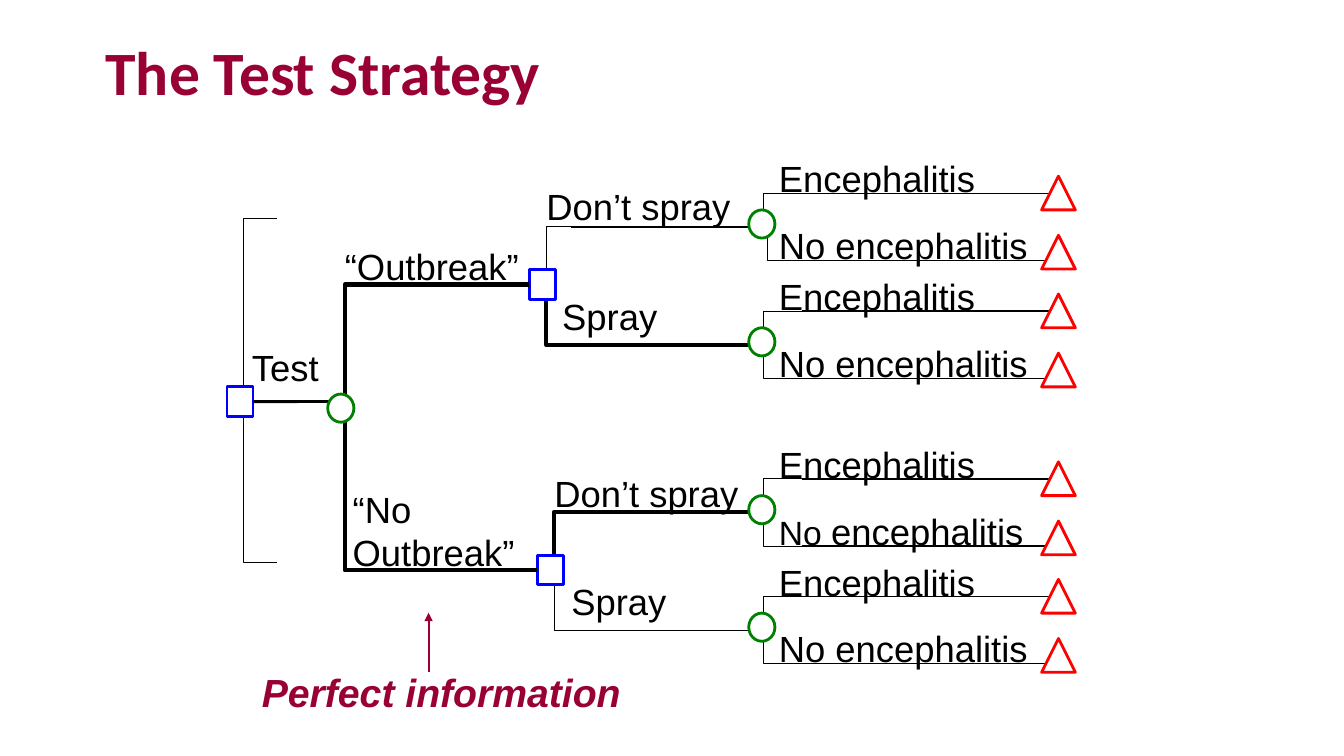
"""Build the decision tree slide for the test strategy."""
from dataclasses import dataclass

from lxml import etree
from pptx import Presentation
from pptx.dml.color import RGBColor
from pptx.enum.shapes import MSO_CONNECTOR, MSO_SHAPE
from pptx.enum.text import MSO_ANCHOR, PP_ALIGN
from pptx.oxml.ns import qn
from pptx.util import Cm, Pt

STRAIGHT = MSO_CONNECTOR.STRAIGHT
RECTANGLE, OVAL = MSO_SHAPE.RECTANGLE, MSO_SHAPE.OVAL
TRIANGLE = MSO_SHAPE.ISOSCELES_TRIANGLE
TOP, MIDDLE = MSO_ANCHOR.TOP, MSO_ANCHOR.MIDDLE
LEFT, CENTER = PP_ALIGN.LEFT, PP_ALIGN.CENTER
LEFT_SIDE, RIGHT_SIDE = 1, 3


@dataclass(frozen=True)
class Theme:
    """Colours, fonts and type sizes of the slide."""
    ink: RGBColor = RGBColor(0x00, 0x00, 0x00)
    paper: RGBColor = RGBColor(0xFF, 0xFF, 0xFF)
    accent: RGBColor = RGBColor(0x99, 0x00, 0x33)
    decision: RGBColor = RGBColor(0x00, 0x00, 0xFF)
    chance: RGBColor = RGBColor(0x00, 0x80, 0x00)
    outcome: RGBColor = RGBColor(0xFF, 0x00, 0x00)
    title_font: str = "Calibri"
    body_font: str = "Arial"
    title_size: float = 44
    note_size: float = 28
    label_size: float = 26
    small_size: float = 24
    thick: float = 3
    thin: float = 1
    hairline: float = 0
    outline: float = 2
    arrow: float = 1.5


THEME = Theme()


@dataclass(frozen=True)
class Label:
    """A text box, with one paragraph per line of text."""
    text: str
    x: float
    y: float
    w: float
    h: float = 1.1
    inset: bool = False
    size: float = THEME.label_size
    font: str = THEME.body_font
    color: RGBColor = THEME.ink
    bold: bool = False
    italic: bool = False
    align: PP_ALIGN = LEFT
    anchor: MSO_ANCHOR = TOP
    spacing: float = 1.0


@dataclass(frozen=True)
class Elbow:
    """A branch that runs vertically and then turns right."""
    x: float
    y: float
    turn_y: float
    end_x: float
    width: float = THEME.hairline


@dataclass(frozen=True)
class Node:
    """A marker of the tree."""
    kind: MSO_SHAPE
    x: float
    y: float
    w: float
    h: float
    color: RGBColor


@dataclass(frozen=True)
class Infection:
    """A chance node with its two outcomes."""
    y: float
    lower_x: float = 19.25
    no_size: float = THEME.label_size


LABELS = (
    Label("The Test Strategy", 2.41, 0.84, 25.96, 2.11, inset=True, size=THEME.title_size,
          font=THEME.title_font, color=THEME.accent, bold=True, anchor=MIDDLE, spacing=0.9),
    Label("Test", 6.35, 8.69, 1.9),
    Label("“Outbreak”", 8.69, 6.15, 4.75),
    Label("“No\nOutbreak”", 8.89, 12.27, 6.35, 2.2),
    Label("Don’t spray", 13.77, 4.65, 5.28),
    Label("Spray", 14.17, 7.42, 3.38),
    Label("Don’t spray", 13.97, 11.86, 4.88),
    Label("Spray", 14.4, 14.6, 2.97),
    Label("Perfect information", 5.72, 16.71, 10.8, 1.45, inset=True, size=THEME.note_size,
          color=THEME.accent, bold=True, italic=True, align=CENTER),
)
ELBOWS = (
    Elbow(6.13, 10.77, 5.51, 6.98),
    Elbow(6.13, 9.88, 14.17, 6.98),
    Elbow(8.69, 9.93, 7.17, 9.45, THEME.thick),
    Elbow(8.69, 9.73, 14.37, 9.7, THEME.thick),
    Elbow(13.77, 7.16, 5.72, 14.66),
    Elbow(13.77, 7.42, 8.69, 18.87, THEME.thick),
    Elbow(13.97, 14.35, 12.9, 14.88, THEME.thick),
    Elbow(13.97, 14.6, 15.88, 19.08),
)
INFECTIONS = (Infection(5.29, lower_x=19.35), Infection(8.26),
              Infection(12.49, no_size=THEME.small_size), Infection(15.45))


def add_label(slide, label: Label):
    """Add a text box and return it."""
    sp = slide.shapes.add_textbox(Cm(label.x), Cm(label.y), Cm(label.w), Cm(label.h))
    tf = sp.text_frame
    tf.word_wrap = True
    tf.vertical_anchor = label.anchor
    if not label.inset:
        tf.margin_left = tf.margin_top = tf.margin_right = tf.margin_bottom = 0
    tf.text = label.text
    for p in tf.paragraphs:
        p.alignment = label.align
        p.line_spacing = label.spacing
        p.font.name = label.font
        p.font.size = Pt(label.size)
        p.font.bold = label.bold
        p.font.italic = label.italic
        p.font.color.rgb = label.color
    return sp


def add_elbow(slide, elbow: Elbow) -> None:
    """Add an open branch with one corner."""
    builder = slide.shapes.build_freeform(Cm(elbow.x), Cm(elbow.y))
    builder.add_line_segments([(Cm(elbow.x), Cm(elbow.turn_y)),
                               (Cm(elbow.end_x), Cm(elbow.turn_y))], close=False)
    sp = builder.convert_to_shape()
    sp.shadow.inherit = False
    sp.fill.background()
    sp.line.color.rgb = THEME.ink
    sp.line.width = Pt(elbow.width)


def add_wire(slide, x1: float, y1: float, x2: float, y2: float, width: float,
             color: RGBColor = THEME.ink):
    """Add a straight connector and return it."""
    cx = slide.shapes.add_connector(STRAIGHT, Cm(x1), Cm(y1), Cm(x2), Cm(y2))
    cx.line.color.rgb = color
    cx.line.width = Pt(width)
    etree.SubElement(cx._element.spPr, qn("a:effectLst"))
    return cx


def add_node(slide, node: Node):
    """Add a white outlined marker and return it."""
    sp = slide.shapes.add_shape(node.kind, Cm(node.x), Cm(node.y), Cm(node.w), Cm(node.h))
    sp.shadow.inherit = False
    sp.fill.solid()
    sp.fill.fore_color.rgb = THEME.paper
    sp.line.color.rgb = node.color
    sp.line.width = Pt(THEME.outline)
    return sp


def add_decision(slide, x: float, y: float):
    """Add a square decision node and return it."""
    return add_node(slide, Node(RECTANGLE, x, y, 0.66, 0.74, THEME.decision))


def add_chance(slide, x: float, y: float) -> None:
    """Add a round chance node."""
    add_node(slide, Node(OVAL, x, y, 0.66, 0.71, THEME.chance))


def add_infection(slide, item: Infection) -> None:
    """Add a chance node, its two branches, labels and outcomes."""
    upper, lower = item.y - 0.42, item.y + 1.27
    add_elbow(slide, Elbow(19.25, item.y + 0.61, upper, 20.73))
    add_elbow(slide, Elbow(item.lower_x, item.y + 0.43, lower, item.lower_x + 1.27))
    for turn_y, outcome_y in ((upper, item.y - 0.85), (lower, item.y + 0.64)):
        add_wire(slide, 20.2, turn_y, 26.52, turn_y, THEME.thin)
        add_node(slide, Node(TRIANGLE, 26.25, outcome_y, 0.85, 0.85, THEME.outcome))
    add_chance(slide, 18.87, item.y)
    add_label(slide, Label("Encephalitis", 19.38, item.y - 1.47, 6.65, 1.35, inset=True))
    sp = add_label(slide, Label("No encephalitis", 19.38, item.y + 0.21, 7.2, 1.35, inset=True))
    if item.no_size != THEME.label_size:
        p = sp.text_frame.paragraphs[0]
        p.runs[0].text = "No "
        p.runs[0].font.size = Pt(item.no_size)
        p.add_run().text = "encephalitis"


def main() -> None:
    """Build and save the slide."""
    prs = Presentation()
    prs.slide_width, prs.slide_height = Cm(33.87), Cm(19.05)
    s = prs.slides.add_slide(prs.slide_layouts[6])
    for elbow in ELBOWS:
        add_elbow(s, elbow)
    add_wire(s, 14.4, 5.72, 18.92, 5.72, THEME.thin)
    add_wire(s, 14.6, 12.9, 19.13, 12.9, THEME.thick)
    test = add_decision(s, 5.72, 9.75)
    add_wire(s, 6.38, 10.12, 8.48, 10.12, THEME.hairline).begin_connect(test, RIGHT_SIDE)
    add_chance(s, 8.26, 9.93)
    for x, y, start_x in ((13.34, 6.8, 9.32), (13.54, 14.0, 9.68)):
        decision = add_decision(s, x, y)
        wire = add_wire(s, start_x, y + 0.37, x, y + 0.37, THEME.thick)
        wire.end_connect(decision, LEFT_SIDE)
    for item in INFECTIONS:
        add_infection(s, item)
    for label in LABELS:
        add_label(s, label)
    arrow = add_wire(s, 10.8, 16.94, 10.8, 15.44, THEME.arrow, THEME.accent)
    etree.SubElement(arrow.line._get_or_add_ln(), qn("a:tailEnd"), type="triangle")
    prs.save("out.pptx")


if __name__ == "__main__":
    main()
